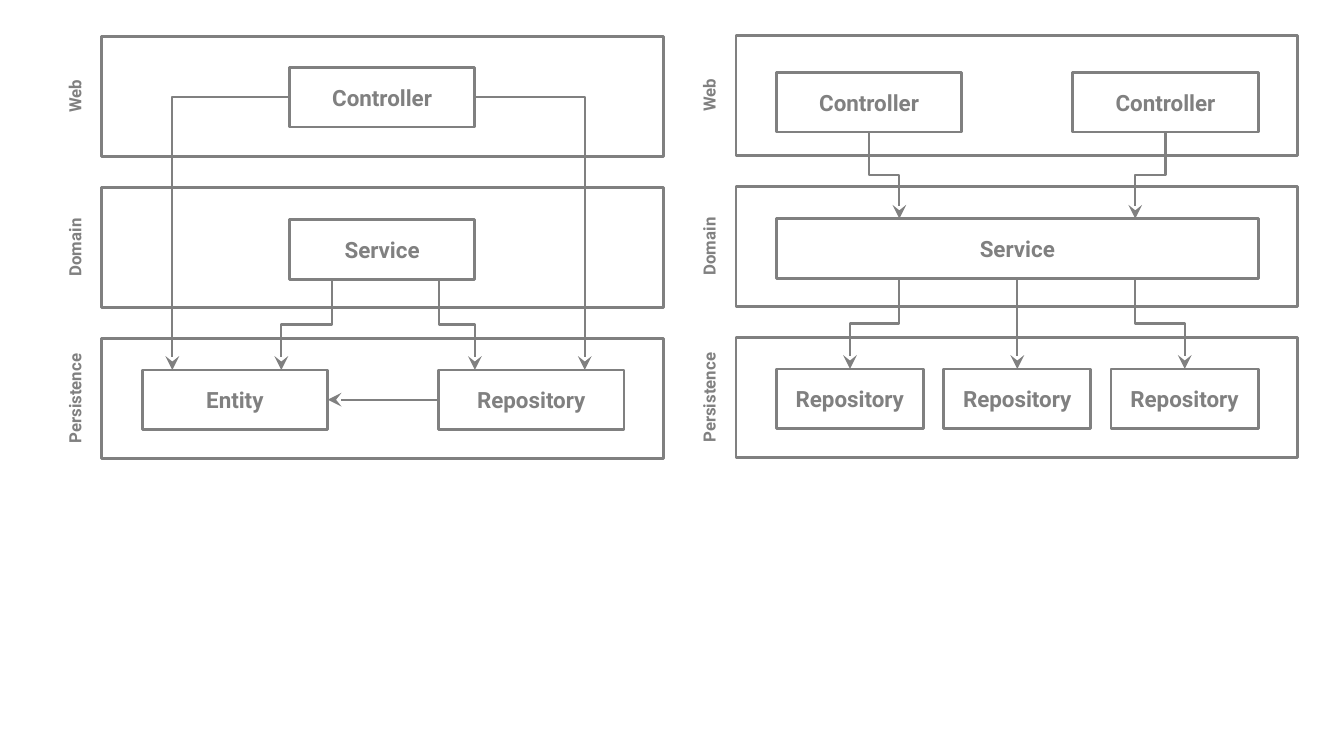
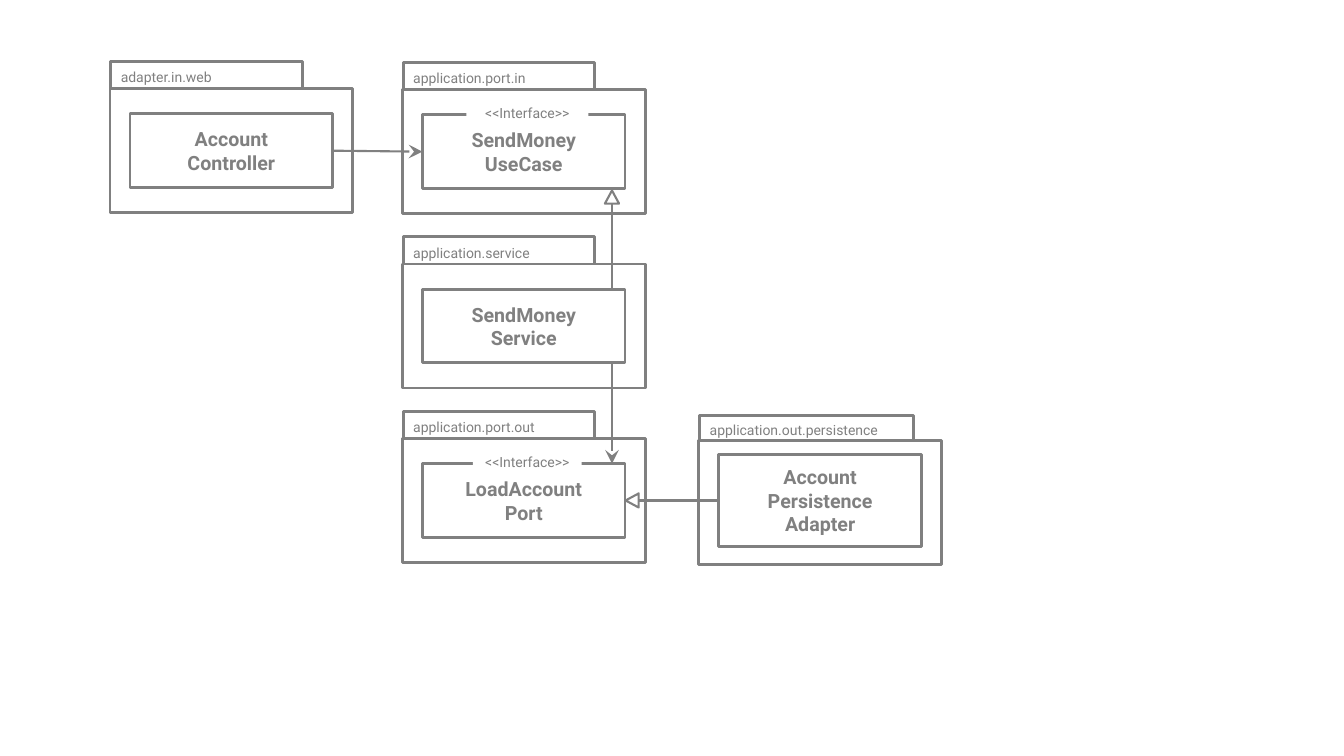
from lxml import etree
from pptx import Presentation
from pptx.dml.color import RGBColor
from pptx.enum.shapes import MSO_CONNECTOR, MSO_SHAPE
from pptx.enum.text import MSO_ANCHOR, PP_ALIGN
from pptx.oxml.ns import qn
from pptx.util import Inches, Pt

GRAY = RGBColor(0x80, 0x80, 0x80)
WHITE = RGBColor(0xFF, 0xFF, 0xFF)
OUTLINE = Pt(2)
ARROW = Pt(1.5)
BLANK_LAYOUT = 6

NODE_FONT = {"name": "Roboto", "size": Pt(16), "bold": True}
LAYER_FONT = {"name": "Roboto", "size": Pt(12), "bold": True}
CLASS_FONT = {"name": "Roboto", "size": Pt(14), "bold": True}
SMALL_FONT = {"name": "Roboto", "size": Pt(10), "bold": False}
FRAME = {"margin_left": 0, "margin_right": 0, "margin_top": 0, "margin_bottom": 0,
         "word_wrap": True, "vertical_anchor": MSO_ANCHOR.MIDDLE}
TAB_FRAME = {**FRAME, "margin_left": Inches(0.1), "margin_top": Inches(0.04)}

LAYERS = ("Web", "Domain", "Persistence")
LAYER_WIDTH, LAYER_HEIGHT, LAYER_STEP = 5.57, 1.19, 1.5
NODE_WIDTH, NODE_HEIGHT = 1.84, 0.59
SERVICE_TOP, SERVICE_BOTTOM, STORE_TOP = 1.82, 2.41, 3.31
PACKAGE_WIDTH, PACKAGE_HEIGHT = 2.41, 1.23


def set_all(target, values):
    for name, value in values.items():
        setattr(target, name, value)


def write(shape, lines, font, align=PP_ALIGN.CENTER, frame=FRAME):
    set_all(shape.text_frame, frame)
    for index, line in enumerate(lines):
        paragraphs = shape.text_frame
        para = paragraphs.paragraphs[0] if index == 0 else paragraphs.add_paragraph()
        para.alignment = align
        span = para.add_run()
        span.text = line
        set_all(span.font, font)
        span.font.color.rgb = GRAY


def add_box(page, left, top, width, height, kind=MSO_SHAPE.RECTANGLE, fill=None, line=OUTLINE):
    box = page.shapes.add_shape(kind, Inches(left), Inches(top), Inches(width), Inches(height))
    box.shadow.inherit = False
    if fill is None:
        box.fill.background()
    else:
        box.fill.solid()
        box.fill.fore_color.rgb = fill
    if line is None:
        box.line.fill.background()
    else:
        box.line.color.rgb = GRAY
        box.line.width = line
    return box


def add_line(page, start, end, kind=MSO_CONNECTOR.STRAIGHT, arrow=True):
    line = page.shapes.add_connector(kind, *map(Inches, (*start, *end)))
    line.line.color.rgb = GRAY
    line.line.width = ARROW
    properties = line._element.spPr
    if arrow:
        etree.SubElement(properties.find(qn("a:ln")), qn("a:tailEnd"),
                         type="stealth", w="lg", len="lg")
    etree.SubElement(properties, qn("a:effectLst"))
    return line


def join(page, source, source_side, target, target_side, arrow=True):
    """Draw a straight line between the middles of two box sides."""
    line = add_line(page, (0, 0), (0, 0), arrow=arrow)
    line.begin_connect(source, source_side)
    line.end_connect(target, target_side)


def add_corner(page, start, end):
    """Draw an arrow that runs sideways, then down."""
    line = add_line(page, start, end, MSO_CONNECTOR.ELBOW)
    line._element.spPr.find(qn("a:prstGeom")).set("prst", "bentConnector2")


def add_step(page, start, end):
    """Draw an arrow that runs down, sideways, then down again."""
    center_x, center_y = (start[0] + end[0]) / 2, (start[1] + end[1]) / 2
    half_drop, half_shift = (end[1] - start[1]) / 2, abs(end[0] - start[0]) / 2
    goes_left = end[0] < start[0]
    reach = -half_drop if goes_left else half_drop
    line = add_line(page, (center_x + reach, center_y - half_shift),
                    (center_x - reach, center_y + half_shift), MSO_CONNECTOR.ELBOW)
    degrees = 90 if goes_left else 270
    line._element.spPr.find(qn("a:xfrm")).set("rot", str(degrees * 60000))


def add_layers(page, left, top):
    label_width, label_height = 1.21, 0.3
    for index, name in enumerate(LAYERS):
        layer_top = top + index * LAYER_STEP
        add_box(page, left, layer_top, LAYER_WIDTH, LAYER_HEIGHT)
        label = page.shapes.add_textbox(
            Inches(left - 0.27 - label_width / 2),
            Inches(layer_top + (LAYER_HEIGHT - label_height) / 2),
            Inches(label_width), Inches(label_height))
        label.rotation = 270
        write(label, [name], LAYER_FONT)


def add_node(page, left, top, name, width=NODE_WIDTH):
    node = add_box(page, left, top, width, NODE_HEIGHT)
    write(node, [name], NODE_FONT)
    return node


def draw_paths(page, left, top, draw, paths):
    for x1, y1, x2, y2 in paths:
        draw(page, (left + x1, top + y1), (left + x2, top + y2))


def add_shortcut_panel(page, left, top):
    """Layers in which the controller bypasses the service."""
    add_layers(page, left, top)
    add_node(page, left + 1.86, top + 0.31, "Controller")
    add_node(page, left + 1.86, top + SERVICE_TOP, "Service")
    entity = add_node(page, left + 0.4, top + STORE_TOP, "Entity")
    repository = add_node(page, left + 3.34, top + STORE_TOP, "Repository")
    join(page, repository, 1, entity, 3)
    draw_paths(page, left, top, add_step, (
        (2.28, SERVICE_BOTTOM, 1.78, STORE_TOP),
        (3.34, SERVICE_BOTTOM, 3.7, STORE_TOP)))
    draw_paths(page, left, top, add_corner, (
        (1.86, 0.6, 0.7, STORE_TOP),
        (3.7, 0.6, 4.79, STORE_TOP)))


def add_broad_service_panel(page, left, top):
    """Layers in which one wide service serves every controller."""
    add_layers(page, left, top)
    for offset in (0.4, 3.34):
        add_node(page, left + offset, top + 0.37, "Controller")
    service = add_node(page, left + 0.4, top + SERVICE_TOP, "Service", 4.78)
    repositories = [add_node(page, left + 0.4 + index * 1.66, top + STORE_TOP, "Repository", 1.46)
                    for index in range(3)]
    join(page, service, 2, repositories[1], 0)
    draw_paths(page, left, top, add_step, (
        (1.32, 0.96, 1.62, SERVICE_TOP),
        (4.26, 0.96, 3.96, SERVICE_TOP),
        (1.62, SERVICE_BOTTOM, 1.13, STORE_TOP),
        (3.96, SERVICE_BOTTOM, 4.45, STORE_TOP)))


def add_package(page, left, top, name, lines, interface_width=None,
                tab=(1.9, 0.27), class_top=0.25, class_height=0.73):
    """Place a tabbed package whose body starts at top, and return its class box."""
    add_box(page, left, top, PACKAGE_WIDTH, PACKAGE_HEIGHT)
    tab_width, tab_height = tab
    header = add_box(page, left + 0.01, top - tab_height, tab_width, tab_height)
    write(header, [name], SMALL_FONT, PP_ALIGN.LEFT, TAB_FRAME)
    class_box = add_box(page, left + 0.2, top + class_top, 2.01, class_height)
    write(class_box, lines, CLASS_FONT)
    if interface_width:
        label = add_box(page, left + 1.24 - interface_width / 2, top + 0.1,
                        interface_width, 0.27, fill=WHITE, line=None)
        write(label, ["<<Interface>>"], SMALL_FONT)
    return class_box


def add_hollow_head(page, left, top, rotation=0):
    head = add_box(page, left, top, 0.14, 0.13, MSO_SHAPE.ISOSCELES_TRIANGLE, WHITE, ARROW)
    head.rotation = rotation


def add_package_diagram(page, left, top):
    middle, right = left + 2.9, left + 5.84
    controller = add_package(page, left, top, "adapter.in.web", ["Account", "Controller"])
    use_case = add_package(page, middle, top + 0.01, "application.port.in",
                           ["SendMoney", "UseCase"], 1.21)
    add_package(page, middle, top + 1.74, "application.service", ["SendMoney", "Service"])
    port = add_package(page, middle, top + 3.47, "application.port.out",
                       ["LoadAccount", "Port"], 1.08)
    adapter = add_package(page, right, top + 3.49, "application.out.persistence",
                          ["Account", "Persistence", "Adapter"],
                          tab=(2.12, 0.25), class_top=0.14, class_height=0.91)

    join(page, controller, 3, use_case, 1)
    join(page, adapter, 1, port, 3, arrow=False)
    trunk = middle + 2.08
    add_line(page, (trunk, top + 1.99), (trunk, top + 0.99), arrow=False)
    add_line(page, (trunk, top + 2.72), (trunk, top + 3.72))
    add_hollow_head(page, trunk - 0.07, top + 1.01)
    add_hollow_head(page, middle + 2.21, top + 4.02, 270)


def main():
    deck = Presentation()
    deck.slide_width, deck.slide_height = Inches(13.33), Inches(7.5)
    layout = deck.slide_layouts[BLANK_LAYOUT]

    layers_page = deck.slides.add_slide(layout)
    add_shortcut_panel(layers_page, 1.01, 0.36)
    add_broad_service_panel(layers_page, 7.3, 0.35)

    packages_page = deck.slides.add_slide(layout)
    add_package_diagram(packages_page, 1.09, 0.88)

    deck.save("out.pptx")


if __name__ == "__main__":
    main()
